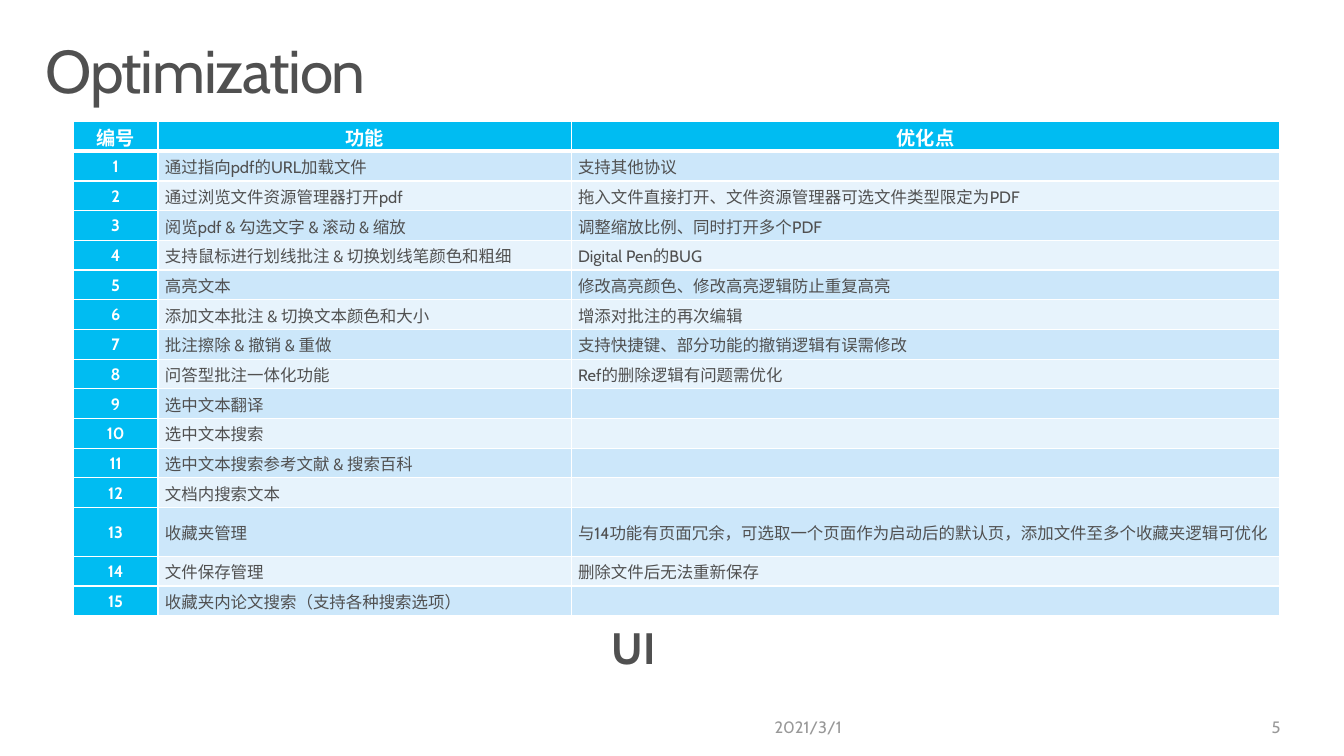
from dataclasses import dataclass

from lxml import etree
from pptx import Presentation
from pptx.dml.color import RGBColor
from pptx.enum.text import MSO_ANCHOR, MSO_AUTO_SIZE, PP_ALIGN
from pptx.oxml.ns import qn
from pptx.util import Pt

LEFT, CENTER, JUSTIFY = PP_ALIGN.LEFT, PP_ALIGN.CENTER, PP_ALIGN.JUSTIFY
TOP, MIDDLE, BOTTOM = MSO_ANCHOR.TOP, MSO_ANCHOR.MIDDLE, MSO_ANCHOR.BOTTOM
TITLE_ONLY_LAYOUT = 5


@dataclass(frozen=True)
class Theme:
    font: str = "Cabin"
    ink: str = "505050"
    muted: str = "989898"
    white: str = "FFFFFF"
    accent: str = "00BCF2"
    bands: tuple = ("CCE7FA", "E7F3FC")
    title_size: int = 44
    caption_size: int = 32
    header_size: int = 14
    body_size: int = 12


THEME = Theme()
HEADERS = ("编号", "功能", "优化点")
FEATURES = (
    ("通过指向pdf的URL加载文件", "支持其他协议"),
    ("通过浏览文件资源管理器打开pdf", "拖入文件直接打开、文件资源管理器可选文件类型限定为PDF"),
    ("阅览pdf & 勾选文字 & 滚动 & 缩放", "调整缩放比例、同时打开多个PDF"),
    ("支持鼠标进行划线批注 & 切换划线笔颜色和粗细", "Digital Pen的BUG"),
    ("高亮文本", "修改高亮颜色、修改高亮逻辑防止重复高亮"),
    ("添加文本批注 & 切换文本颜色和大小", "增添对批注的再次编辑"),
    ("批注擦除 & 撤销 & 重做", "支持快捷键、部分功能的撤销逻辑有误需修改"),
    ("问答型批注一体化功能", "Ref的删除逻辑有问题需优化"),
    ("选中文本翻译", ""),
    ("选中文本搜索", ""),
    ("选中文本搜索参考文献 & 搜索百科", ""),
    ("文档内搜索文本", ""),
    ("收藏夹管理", "与14功能有页面冗余，可选取一个页面作为启动后的默认页，添加文件至多个收藏夹逻辑可优化"),
    ("文件保存管理", "删除文件后无法重新保存"),
    ("收藏夹内论文搜索（支持各种搜索选项）", ""),
)
COLUMN_WIDTHS = (61.9, 301, 516.3)


def set_attributes(target, values):
    for name, value in values.items():
        setattr(target, name, value)


def write_text(frame, text, size, color, bold=False, align=LEFT, line_spacing=None):
    paragraph = frame.paragraphs[0]
    set_attributes(paragraph, {"alignment": align, "line_spacing": line_spacing})
    run = paragraph.add_run()
    run.text = text
    set_attributes(run.font, {"name": THEME.font, "size": Pt(size), "bold": bold})
    run.font.color.rgb = RGBColor.from_string(color)
    return run


def format_frame(frame, anchor, inset_x, inset_y):
    set_attributes(frame, {
        "word_wrap": True, "auto_size": MSO_AUTO_SIZE.NONE, "vertical_anchor": anchor,
        "margin_left": Pt(inset_x), "margin_right": Pt(inset_x),
        "margin_top": Pt(inset_y), "margin_bottom": Pt(inset_y),
    })


def add_title(slide, left, top, width, height):
    title = slide.shapes.title
    set_attributes(title, {"left": Pt(left), "top": Pt(top),
                           "width": Pt(width), "height": Pt(height)})
    format_frame(title.text_frame, TOP, 11.5, 7.2)
    run = write_text(title.text_frame, "Optimization", THEME.title_size, THEME.ink,
                     line_spacing=0.9)
    run.font._element.set("spc", "-100")


def add_label(slide, box, text, size, color, anchor, insets, **text_format):
    label = slide.shapes.add_textbox(*map(Pt, box))
    format_frame(label.text_frame, anchor, *insets)
    write_text(label.text_frame, text, size, color, **text_format)


def add_footer(slide, left, top, width, height):
    """Place the date at the left end of the box and the page number at the right."""
    number_width = 38.2
    entries = (("2021/3/1", left, 220.3),
               ("5", left + width - number_width, number_width))
    for text, entry_left, entry_width in entries:
        add_label(slide, (entry_left, top, entry_width, height), text,
                  THEME.body_size, THEME.muted, BOTTOM, (7.2, 3.6))


def set_borders(cell, bottom_width):
    properties = cell._tc.get_or_add_tcPr()
    for side, width in (("L", 1), ("R", 1), ("T", 1), ("B", bottom_width)):
        line = etree.SubElement(properties, qn(f"a:ln{side}"), w=str(Pt(width)))
        fill = etree.SubElement(line, qn("a:solidFill"))
        etree.SubElement(fill, qn("a:srgbClr"), val=THEME.white)


def fill_cell(cell, text, fill, size, color, bold, align, bottom_width=1):
    set_attributes(cell, {"vertical_anchor": MIDDLE, "margin_left": Pt(5),
                          "margin_right": Pt(5), "margin_top": Pt(0.7),
                          "margin_bottom": Pt(0)})
    set_borders(cell, bottom_width)
    cell.fill.solid()
    cell.fill.fore_color.rgb = RGBColor.from_string(fill)
    if text:
        write_text(cell.text_frame, text, size, color, bold, align)
    else:
        # An empty cell still needs its type size, or the row grows.
        paragraph = cell.text_frame.paragraphs[0]
        etree.SubElement(paragraph._p, qn("a:endParaRPr"), sz=str(size * 100))


def add_feature_table(slide, left, top, width, height):
    row_count = len(FEATURES) + 1
    table = slide.shapes.add_table(row_count, len(HEADERS), Pt(left), Pt(top),
                                   Pt(width), Pt(height)).table
    for column, column_width in zip(table.columns, COLUMN_WIDTHS):
        column.width = Pt(column_width)
    for row in table.rows:
        row.height = Pt(height / row_count)

    for column, header in enumerate(HEADERS):
        fill_cell(table.cell(0, column), header, THEME.accent, THEME.header_size,
                  THEME.white, True, CENTER, bottom_width=3)
    for number, feature in enumerate(FEATURES, start=1):
        fill_cell(table.cell(number, 0), str(number), THEME.accent, THEME.body_size,
                  THEME.white, True, CENTER)
        band = THEME.bands[(number - 1) % 2]
        for column, text in enumerate(feature, start=1):
            fill_cell(table.cell(number, column), text, band, THEME.body_size,
                      THEME.ink, False, JUSTIFY)


def main():
    presentation = Presentation()
    set_attributes(presentation, {"slide_width": Pt(979.2), "slide_height": Pt(550.8)})
    slide = presentation.slides.add_slide(presentation.slide_layouts[TITLE_ONLY_LAYOUT])
    add_title(slide, 21.6, 23, 936, 72)
    add_footer(slide, 557.3, 510.5, 400.3, 29.5)
    add_feature_table(slide, 53.3, 88.6, sum(COLUMN_WIDTHS), 346.3)
    add_label(slide, (396.7, 445, 130.3, 58.3), "UI", THEME.caption_size, THEME.ink,
              TOP, (14.4, 11.5), bold=True, align=CENTER, line_spacing=0.9)
    presentation.save("out.pptx")


if __name__ == "__main__":
    main()
